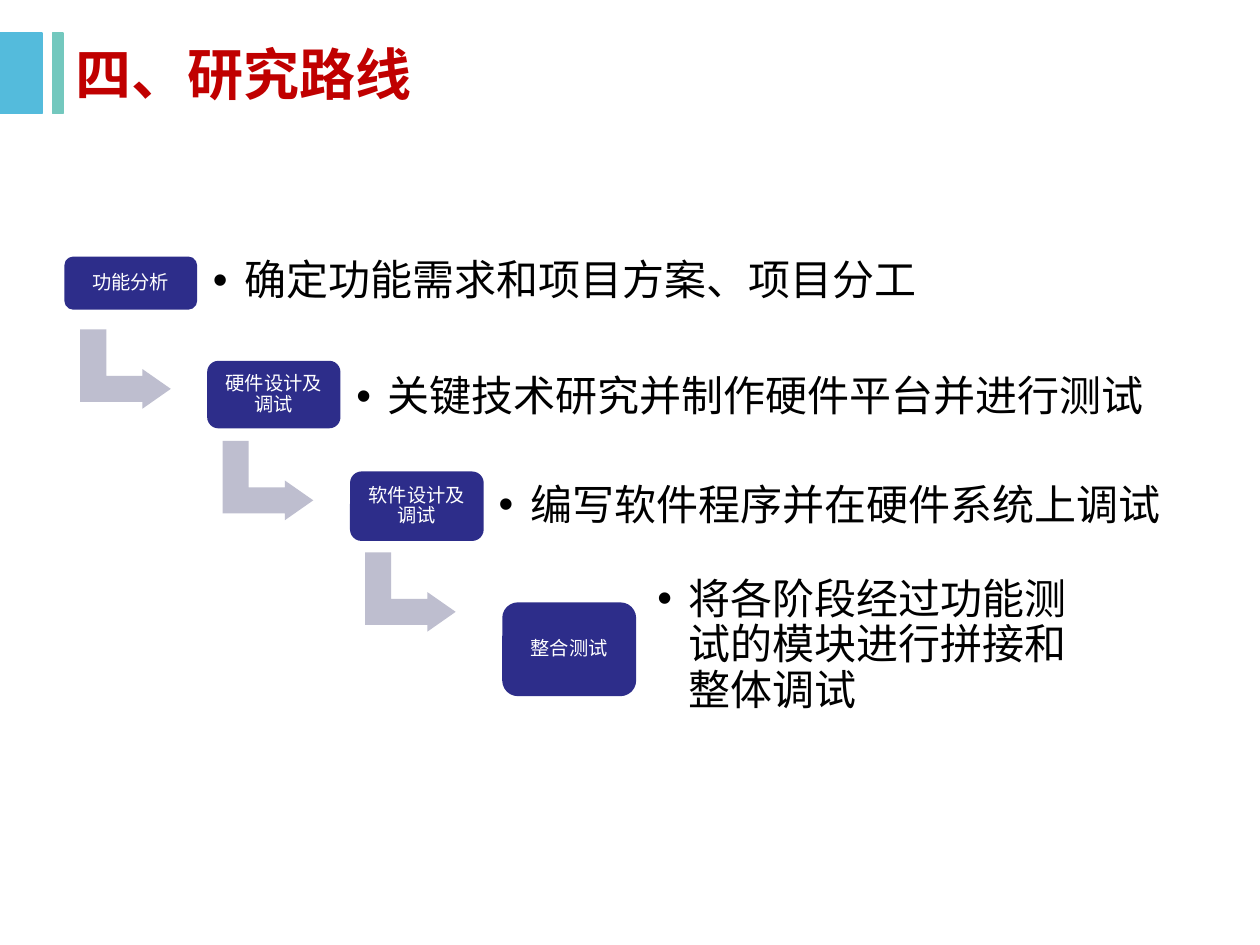
from dataclasses import dataclass

from lxml.etree import SubElement
from pptx import Presentation
from pptx.dml.color import RGBColor
from pptx.enum.shapes import MSO_SHAPE as Preset
from pptx.enum.text import MSO_ANCHOR as Anchor, PP_ALIGN as Align
from pptx.oxml.ns import qn
from pptx.shapes.autoshape import Shape
from pptx.slide import Slide
from pptx.util import Pt


@dataclass(frozen=True)
class Theme:
    blue: str = "54BBDC"
    teal: str = "73C8BE"
    title: str = "C00000"
    box: str = "2D2D8A"
    arrow: str = "BEBECF"
    light: str = "FFFFFF"
    dark: str = "000000"
    latin: str = "Arial"
    chinese: str = "Noto Sans CJK SC"
    title_size: float = 32
    body_size: float = 24
    box_size: float = 11


@dataclass(frozen=True)
class Frame:
    left: float
    top: float
    width: float
    height: float

    def lengths(self) -> tuple:
        return Pt(self.left), Pt(self.top), Pt(self.width), Pt(self.height)


@dataclass(frozen=True)
class Step:
    name: str
    box: Frame
    detail: str
    detail_frame: Frame


THEME = Theme()
ARROW = Frame(49, 185, 45.4, 51.8)
ARROW_STEP_X, ARROW_STEP_Y = 81.4, 63.7
CORNER = 0.167
BULLET_INDENT = 18

BARS = [
    (Frame(0, 18.8, 24, 46), THEME.blue),
    (Frame(30, 18.8, 6, 46), THEME.teal),
]

STEPS = [
    Step("功能分析", Frame(36.8, 146.6, 75.9, 30.4),
         "确定功能需求和项目方案、项目分工", Frame(114.5, 121, 525, 80.6)),
    Step("硬件设计及调试", Frame(118.4, 206.2, 76.2, 38.6),
         "关键技术研究并制作硬件平台并进行测试", Frame(196.6, 198, 510, 59)),
    Step("软件设计及调试", Frame(200, 269.4, 76.4, 39.7),
         "编写软件程序并在硬件系统上调试", Frame(277.9, 259.2, 429, 60.5)),
    Step("整合测试", Frame(287, 344.2, 76.5, 53.6),
         "将各阶段经过功能测试的模块进行拼接和整体调试",
         Frame(368.6, 321.1, 270.7, 96.5)),
]


def add_preset(slide: Slide, preset: Preset, frame: Frame, color: str) -> Shape:
    shape = slide.shapes.add_shape(preset, *frame.lengths())
    shape.shadow.inherit = False
    shape.fill.solid()
    shape.fill.fore_color.rgb = RGBColor.from_string(color)
    shape.line.fill.background()
    return shape


def write_text(shape: Shape, text: str, size: float, color: str,
               latin: str = THEME.latin, inset: float = 7.2,
               align: Align = Align.LEFT, spacing: float = 0.9,
               bold: bool = False):
    text_frame = shape.text_frame
    text_frame.word_wrap = True
    text_frame.vertical_anchor = Anchor.MIDDLE
    text_frame.margin_left = text_frame.margin_right = Pt(inset)
    text_frame.margin_top = text_frame.margin_bottom = Pt(min(inset, 5))
    paragraph = text_frame.paragraphs[0]
    paragraph.alignment = align
    paragraph.line_spacing = spacing
    run = paragraph.add_run()
    run.text = text
    run.font.name = latin
    run.font.size = Pt(size)
    run.font.bold = bold
    run.font.color.rgb = RGBColor.from_string(color)
    SubElement(run.font._element, qn("a:ea"), typeface=THEME.chinese)
    return paragraph


def add_bullet(paragraph) -> None:
    properties = paragraph._p.get_or_add_pPr()
    properties.set("marL", str(Pt(BULLET_INDENT)))
    properties.set("indent", str(-Pt(BULLET_INDENT)))
    SubElement(properties, qn("a:buFont"), typeface=THEME.latin)
    SubElement(properties, qn("a:buChar"), char="•")


def add_header(slide: Slide, title: str) -> None:
    for frame, color in BARS:
        bar = add_preset(slide, Preset.RECTANGLE, frame, color)
        bar.line.color.rgb = RGBColor.from_string(color)
        bar.line.width = Pt(0.75)
    box = slide.shapes.add_textbox(*Frame(36, 18.8, 648, 46).lengths())
    write_text(box, title, THEME.title_size, THEME.title,
               latin=THEME.chinese, spacing=1.0, bold=True)


def add_arrow(slide: Slide, index: int) -> None:
    frame = Frame(ARROW.left + index * ARROW_STEP_X,
                  ARROW.top + index * ARROW_STEP_Y, ARROW.width, ARROW.height)
    arrow = add_preset(slide, Preset.BENT_UP_ARROW, frame, THEME.arrow)
    arrow.rotation = 90
    for position, value in enumerate((0.328, 0.25, 0.358)):
        arrow.adjustments[position] = value


def add_step(slide: Slide, step: Step) -> None:
    box = add_preset(slide, Preset.ROUNDED_RECTANGLE, step.box, THEME.box)
    box.adjustments[0] = CORNER
    write_text(box, step.name, THEME.box_size, THEME.light,
               inset=5, align=Align.CENTER)
    detail = slide.shapes.add_textbox(*step.detail_frame.lengths())
    add_bullet(write_text(detail, step.detail, THEME.body_size, THEME.dark))


def main() -> None:
    presentation = Presentation()
    presentation.slide_width, presentation.slide_height = Pt(720), Pt(540)
    slide = presentation.slides.add_slide(presentation.slide_layouts[6])

    # Title with its two colour bars
    add_header(slide, "四、研究路线")

    # Staircase of steps, an arrow leading from each to the next
    for index, step in enumerate(STEPS):
        if index < len(STEPS) - 1:
            add_arrow(slide, index)
        add_step(slide, step)

    presentation.save("out.pptx")


if __name__ == "__main__":
    main()
